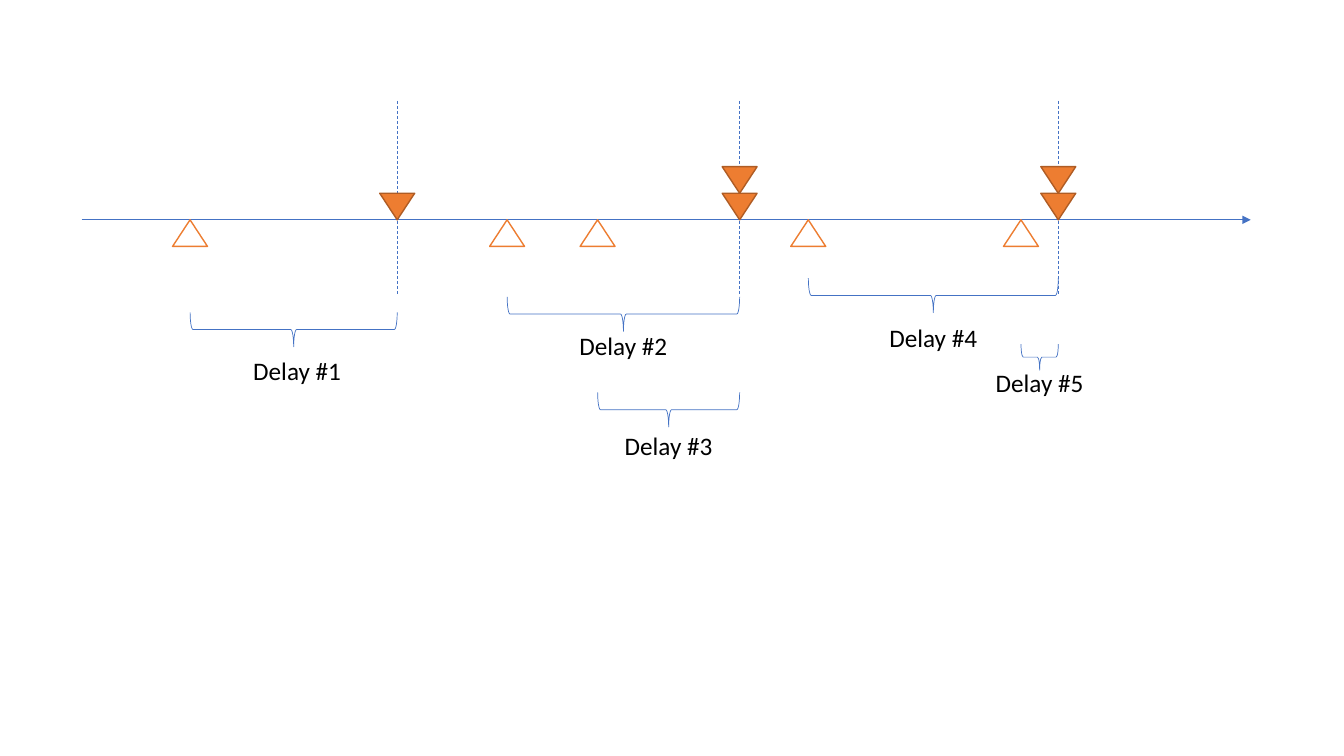
from dataclasses import dataclass

from lxml.etree import SubElement
from pptx import Presentation
from pptx.dml.color import RGBColor
from pptx.enum.dml import MSO_LINE
from pptx.enum.shapes import MSO_CONNECTOR, MSO_SHAPE
from pptx.enum.text import MSO_AUTO_SIZE, PP_ALIGN
from pptx.oxml.ns import qn
from pptx.util import Cm, Pt


@dataclass(frozen=True)
class Theme:
    blue: RGBColor = RGBColor(0x44, 0x72, 0xC4)
    orange: RGBColor = RGBColor(0xED, 0x7D, 0x31)
    brown: RGBColor = RGBColor(0xAF, 0x5C, 0x24)
    white: RGBColor = RGBColor(0xFF, 0xFF, 0xFF)
    black: RGBColor = RGBColor(0, 0, 0)
    font: str = "Calibri"
    label_size: Pt = Pt(18)
    thin: Pt = Pt(0.5)
    outline: Pt = Pt(1)


@dataclass(frozen=True)
class Box:
    left: float
    top: float
    width: float
    height: float


@dataclass(frozen=True)
class Delay:
    arrival: int
    batch: int
    brace_top: float
    label_top: float
    depth: float = 0.87
    label_shift: float = 0


THEME = Theme()
MARKER_WIDTH, MARKER_HEIGHT = 0.88, 0.67
LABEL_WIDTH, LABEL_HEIGHT = 2.74, 1.02

# Positions in cm, measured from the timeline box
AXIS_OFFSET = 3.0
ARRIVALS = [2.73, 10.72, 13.0, 18.31, 23.67]
BATCHES = [(7.95, 1), (16.58, 2), (24.61, 2)]
DELAYS = [
    Delay(0, 0, 5.33, 6.3, label_shift=0.09),
    Delay(1, 1, 4.94, 5.66),
    Delay(2, 1, 7.35, 8.18),
    Delay(3, 2, 4.47, 5.46),
    Delay(4, 2, 6.13, 6.6, depth=0.66),
]


def add_line(page, start, end):
    connector = page.shapes.add_connector(
        MSO_CONNECTOR.STRAIGHT, *(Cm(value) for value in (*start, *end)))
    connector.line.color.rgb = THEME.blue
    connector.line.width = THEME.thin
    SubElement(connector._element.spPr, qn("a:effectLst"))
    return connector


def add_outlined(page, kind, box, line_color, line_width, fill_color=None):
    shape = page.shapes.add_shape(
        kind, Cm(box.left), Cm(box.top), Cm(box.width), Cm(box.height))
    shape.shadow.inherit = False
    if fill_color is None:
        shape.fill.background()
    else:
        shape.fill.solid()
        shape.fill.fore_color.rgb = fill_color
    shape.line.color.rgb = line_color
    shape.line.width = line_width
    return shape


def add_marker(page, center, top, fill_color, line_color):
    box = Box(center - MARKER_WIDTH / 2, top, MARKER_WIDTH, MARKER_HEIGHT)
    return add_outlined(page, MSO_SHAPE.ISOSCELES_TRIANGLE, box,
                        line_color, THEME.outline, fill_color)


def add_brace(page, start, end, top, depth):
    # The brace is drawn upright and turned about its center
    span = end - start
    box = Box((start + end - depth) / 2, top + (depth - span) / 2, depth, span)
    brace = add_outlined(page, MSO_SHAPE.RIGHT_BRACE, box, THEME.blue, THEME.thin)
    brace.rotation = 90


def add_label(page, text, center, top):
    label = page.shapes.add_textbox(
        Cm(center - LABEL_WIDTH / 2), Cm(top), Cm(LABEL_WIDTH), Cm(LABEL_HEIGHT))
    label.text_frame.word_wrap = False
    label.text_frame.auto_size = MSO_AUTO_SIZE.SHAPE_TO_FIT_TEXT
    para = label.text_frame.paragraphs[0]
    para.text = text
    para.alignment = PP_ALIGN.CENTER
    para.font.name = THEME.font
    para.font.size = THEME.label_size
    para.font.color.rgb = THEME.black


def add_timeline(page, box):
    axis_top = box.top + AXIS_OFFSET

    # Time axis
    axis = add_line(page, (box.left, axis_top), (box.left + box.width, axis_top))
    SubElement(axis.line._get_or_add_ln(), qn("a:tailEnd"), type="triangle")

    # Arrivals below the axis
    for offset in ARRIVALS:
        add_marker(page, box.left + offset, axis_top, THEME.white, THEME.orange)

    # Batch times with their stacked markers
    for offset, count in BATCHES:
        center = box.left + offset
        guide = add_line(page, (center, box.top), (center, box.top + box.height))
        guide.line.dash_style = MSO_LINE.DASH
        for level in range(1, count + 1):
            marker = add_marker(page, center, axis_top - level * MARKER_HEIGHT,
                                THEME.orange, THEME.brown)
            marker.rotation = 180


def add_delays(page, box):
    for number, delay in enumerate(DELAYS, start=1):
        start = box.left + ARRIVALS[delay.arrival]
        end = box.left + BATCHES[delay.batch][0]
        add_brace(page, start, end, box.top + delay.brace_top, delay.depth)
        add_label(page, f"Delay #{number}", (start + end) / 2 + delay.label_shift,
                  box.top + delay.label_top)


def main():
    deck = Presentation()
    deck.slide_width, deck.slide_height = Cm(33.87), Cm(19.05)
    page = deck.slides.add_slide(deck.slide_layouts[6])
    timeline_box = Box(2.06, 2.54, 29.46, 4.88)
    add_timeline(page, timeline_box)
    add_delays(page, timeline_box)
    deck.save("out.pptx")


if __name__ == "__main__":
    main()
